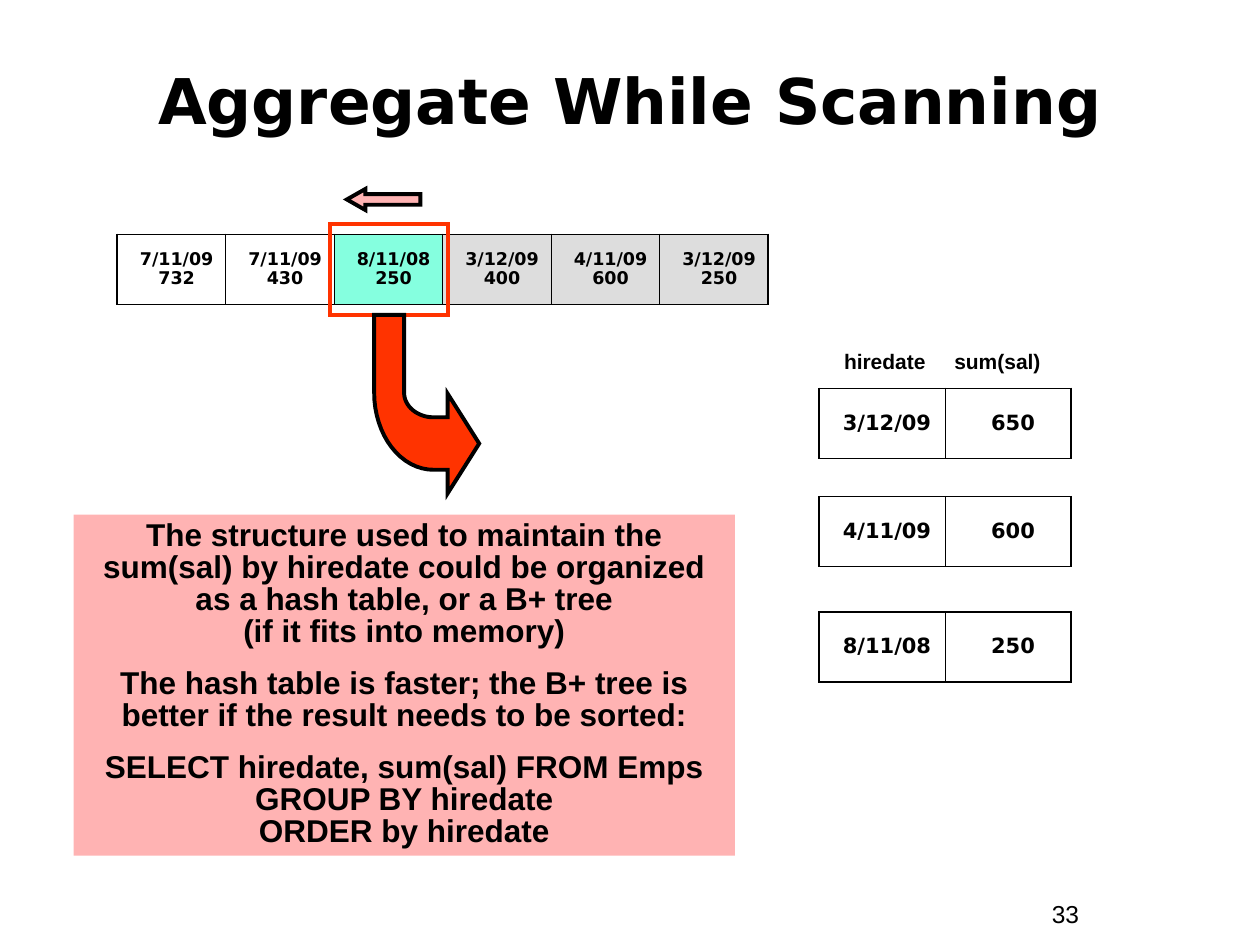
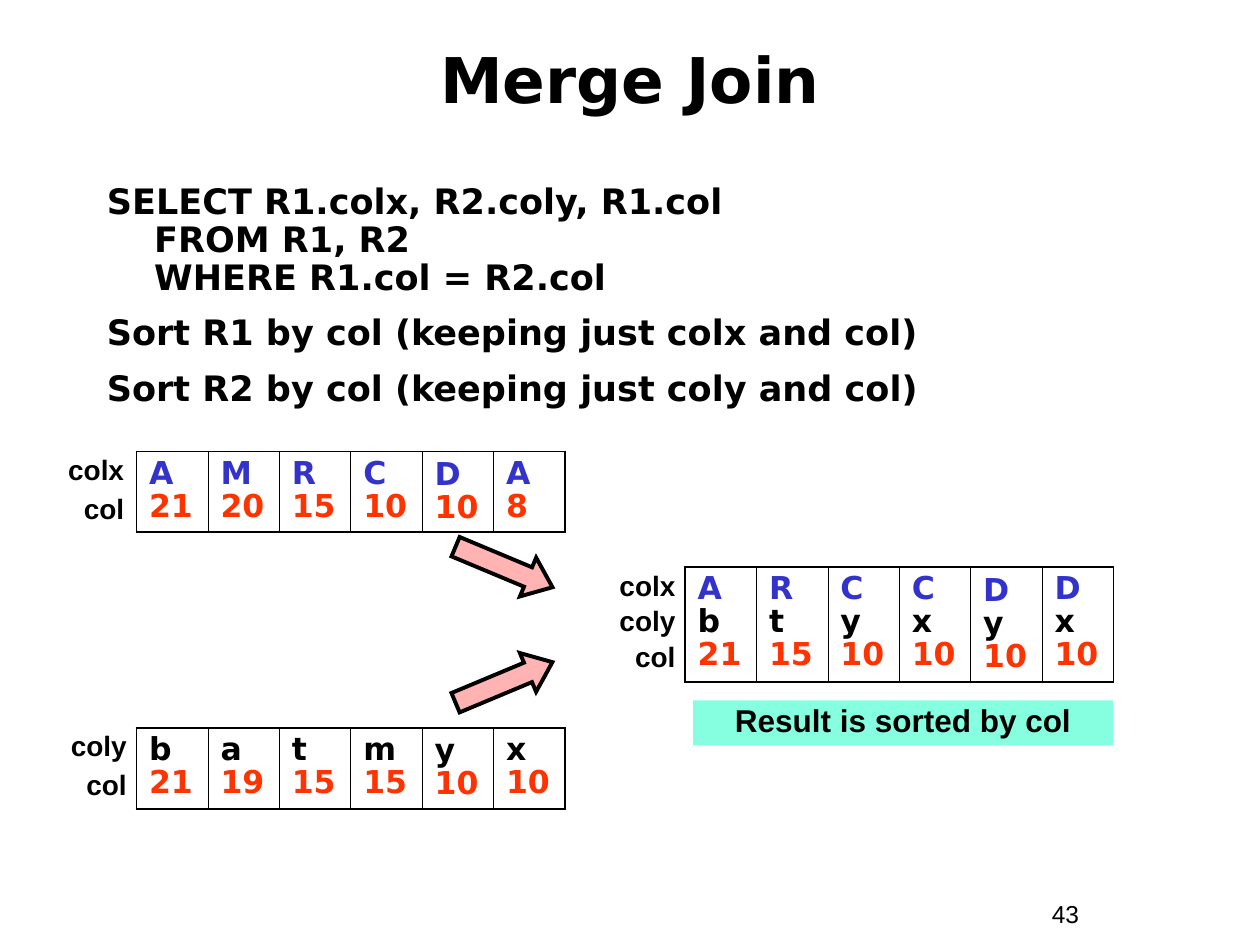
import math

import lxml.etree
import pptx
import pptx.dml.color
import pptx.enum.shapes
import pptx.enum.text
import pptx.oxml.ns
import pptx.util

COLS, ROWS = 120, 90
UNIT = pptx.util.Inches(10) // COLS
HUES = {
    "ink": "000000",
    "red": "FF3300",
    "blue": "3333CC",
    "pink": "FFB3B3",
    "mint": "85FFDF",
    "gray": "DDDDDD",
}
TONES = {"colx": "blue", "coly": "ink", "col": "red"}
SANS, HEAD = "Arial", "DejaVu Sans"
ALIGN = pptx.enum.text.PP_ALIGN
ANCHOR = pptx.enum.text.MSO_ANCHOR
SHAPE = pptx.enum.shapes.MSO_SHAPE
THICK, THIN, BOLD = 1.08, 0.45, 2.25
GROUPS = {37: ("3/12/09", "650"), 47.3: ("4/11/09", "600"),
          58.3: ("8/11/08", "250")}


def rgb(hue):
    return pptx.dml.color.RGBColor.from_string(HUES[hue])


def place(box):
    """Turn grid columns and rows into EMU."""
    return [round(part * UNIT) for part in box]


def qn(tag):
    return pptx.oxml.ns.qn(tag)


def write(frame, texts, size, face=SANS, bold=True, align=ALIGN.LEFT,
          lead=1.0, gap=0, hang=0, stop=0):
    """Fill a text frame; hang and stop are in grid columns."""
    frame.word_wrap = True
    for i, text in enumerate(texts):
        para = frame.paragraphs[0] if i == 0 else frame.add_paragraph()
        para.text = text
        para.alignment = align
        para.line_spacing = lead
        if i:
            para.space_before = pptx.util.Pt(gap)
        props = para._p.get_or_add_pPr()
        if hang:
            props.set("marL", str(round(hang * UNIT)))
            props.set("indent", str(-round(hang * UNIT)))
        if stop:
            tabs = lxml.etree.SubElement(props, qn("a:tabLst"))
            lxml.etree.SubElement(tabs, qn("a:tab"),
                                  pos=str(round(stop * UNIT)), algn="l")
        para.font.name = face
        para.font.size = pptx.util.Pt(size)
        para.font.bold = bold
        para.font.color.rgb = rgb("ink")


def label(slide, box, texts, size, **style):
    frame = slide.shapes.add_textbox(*place(box)).text_frame
    write(frame, texts, size, **style)
    return frame


def paint(shape, fill=None, line=None):
    shape.shadow.inherit = False
    if fill:
        shape.fill.solid()
        shape.fill.fore_color.rgb = rgb(fill)
    else:
        shape.fill.background()
    if line:
        shape.line.color.rgb = rgb(line)
        shape.line.width = pptx.util.Pt(BOLD)
        edge = shape.element.spPr.find(qn("a:ln"))
        lxml.etree.SubElement(edge, qn("a:miter"), lim="800000")
    else:
        shape.line.fill.background()


def note(slide, box, texts, fill):
    shape = slide.shapes.add_shape(SHAPE.RECTANGLE, *place(box))
    paint(shape, fill)
    shape.text_frame.vertical_anchor = ANCHOR.TOP
    write(shape.text_frame, texts, 18, align=ALIGN.CENTER, lead=0.85, gap=11.2)


def arrow(slide, box, kind, head, turn=0):
    shape = slide.shapes.add_shape(kind, *place(box))
    shape.adjustments[1] = head
    shape.rotation = turn
    paint(shape, "pink", "ink")


def border(cell, first, last):
    """Rule a cell: thick outside the table, thin between cells."""
    props = cell._tc.get_or_add_tcPr()
    sides = {"L": THICK if first else THIN, "R": THICK if last else THIN,
             "T": THICK, "B": THICK}
    for side, width in sides.items():
        edge = lxml.etree.SubElement(props, qn(f"a:ln{side}"),
                                     w=str(pptx.util.Pt(width)))
        fill = lxml.etree.SubElement(edge, qn("a:solidFill"))
        lxml.etree.SubElement(fill, qn("a:srgbClr"), val=HUES["ink"])


def strip(slide, box, texts, size, fills=None, inset=0.02, **style):
    """Add a table of one row and return its cells."""
    table = slide.shapes.add_table(1, len(texts), *place(box)).table
    table.first_row = table.horz_banding = False
    cells = list(table.iter_cells())
    for i, (cell, text) in enumerate(zip(cells, texts)):
        border(cell, i == 0, i == len(cells) - 1)
        if fills and fills[i]:
            cell.fill.solid()
            cell.fill.fore_color.rgb = rgb(fills[i])
        else:
            cell.fill.background()
        cell.margin_right = pptx.util.Inches(inset)
        cell.vertical_anchor = ANCHOR.MIDDLE
        write(cell.text_frame, [text], size, face=HEAD, lead=0.9, **style)
    return cells


def frame_page(deck, title, top, number):
    """Start a slide with its title and page number."""
    slide = deck.slides.add_slide(deck.slide_layouts[6])
    frame = label(slide, (4, top, 112, 11), [title], 36, face=HEAD,
                  align=ALIGN.CENTER)
    frame.vertical_anchor = ANCHOR.MIDDLE
    label(slide, (99, 85, 11, 4), [number], 14, bold=False)
    return slide


def hook(slide, box):
    """Draw an arrow that drops, then bends right, on a 10 by 17 grid."""
    left, top, width, height = place(box)
    across, down = width / 10, height / 17
    mid = (5.65, 7.4)

    def arc(wide, high, start, end, steps=16):
        for i in range(steps + 1):
            angle = math.radians(start + (end - start) * i / steps)
            yield (mid[0] + wide * math.cos(angle),
                   mid[1] + high * math.sin(angle))

    points = [(0, 0), *arc(5.65, 7.35, 180, 90), (7, 14.75), (7, 17),
              (10, 12.25), (7, 7.5), (7, 9.75), *arc(2.8, 2.35, 90, 180),
              (2.85, 0)]
    spots = [(x * across, y * down) for x, y in points]
    path = slide.shapes.build_freeform(*spots[0])
    path.add_line_segments(spots[1:], close=True)
    paint(path.convert_to_shape(left, top), "red", "ink")


def scan(slide, box):
    """Show the rows scanned, the current one framed."""
    left, top, width, height = box
    step = width / 6
    texts = ["7/11/09\v732", "7/11/09\v430", "8/11/08\v250",
             "3/12/09\v400", "4/11/09\v600", "3/12/09\v250"]
    fills = [None, None, "mint", "gray", "gray", "gray"]
    strip(slide, box, texts, 10, fills, align=ALIGN.CENTER)
    now = left + 2 * step
    lens = slide.shapes.add_shape(
        SHAPE.RECTANGLE, *place((now - 0.4, top - 1, step + 0.9, height + 2)))
    paint(lens, line="red")
    arrow(slide, (now + 1.2, top - 4.33, 7, 2), SHAPE.LEFT_ARROW, 0.88)
    hook(slide, (now + 3.8, top + 7.67, 10, 17))


def totals(slide, left, width):
    label(slide, (left + 1.2, 33, width - 2, 3.25), ["hiredate\tsum(sal)"], 12,
          lead=0.85, stop=10.5)
    for top, pair in GROUPS.items():
        strip(slide, (left, top, width, 6.67), pair, 12, align=ALIGN.CENTER)


def scan_page(deck):
    slide = frame_page(deck, "Aggregate While Scanning", 4, "33")
    scan(slide, (11.17, 22.33, 62, 6.67))
    totals(slide, 78, 24)
    note(slide, (7, 49, 63, 32.5), [
        "The structure used to maintain the sum(sal) by hiredate could be "
        "organized as a hash table, or a B+ tree\v(if it fits into memory)",
        "The hash table is faster; the B+ tree is better if the result needs "
        "to be sorted:",
        "SELECT hiredate, sum(sal) FROM Emps\vGROUP BY hiredate"
        "\vORDER by hiredate",
    ], "pink")


def relation(slide, box, data, gap, shift):
    """Show a relation as columns of values, with field names on its left."""
    left, top, width, height = box
    texts = ["\v".join(row) for row in zip(*data.values())]
    cells = strip(slide, box, texts, 18, inset=0.1)
    for i, cell in enumerate(cells):
        if i != 4:
            cell.vertical_anchor = ANCHOR.TOP
        for run, name in zip(cell.text_frame.paragraphs[0].runs, data):
            run.font.color.rgb = rgb(TONES[name])
    label(slide, (left - shift, top, 8, height), list(data), 16,
          align=ALIGN.RIGHT, lead=0.85, gap=gap)


def join_page(deck):
    slide = frame_page(deck, "Merge Join", 2, "43")
    label(slide, (9, 17, 102, 25), [
        "SELECT R1.colx, R2.coly, R1.col\vFROM R1, R2\vWHERE R1.col = R2.col",
        "Sort R1 by col (keeping just colx and col)",
        "Sort R2 by col (keeping just coly and col)",
    ], 20, face=HEAD, lead=0.9, gap=10, hang=4.5)
    wide, high = 40.8, 7.7
    relation(slide, (13, 43, wide, high), {
        "colx": "AMRCDA",
        "col": ["21", "20", "15", "10", "10", "8"],
    }, 6, 8)
    relation(slide, (13, 69.33, wide, high), {
        "coly": "batmyx",
        "col": ["21", "19", "15", "15", "10", "10"],
    }, 6, 7.75)
    relation(slide, (65.25, 54, wide, 10.92), {
        "colx": "ARCCDD",
        "coly": "btyxyx",
        "col": ["21", "15", "10", "10", "10", "10"],
    }, 4, 7.75)
    for top, turn in ((52, 22.7), (63, -22.7)):
        arrow(slide, (43, top, 10, 4), SHAPE.RIGHT_ARROW, 0.63, turn)
    note(slide, (66, 66.7, 40, 4.3), ["Result is sorted by col"], "mint")


def main():
    deck = pptx.Presentation()
    deck.slide_width, deck.slide_height = COLS * UNIT, ROWS * UNIT
    scan_page(deck)
    join_page(deck)
    deck.save("out.pptx")


if __name__ == "__main__":
    main()
